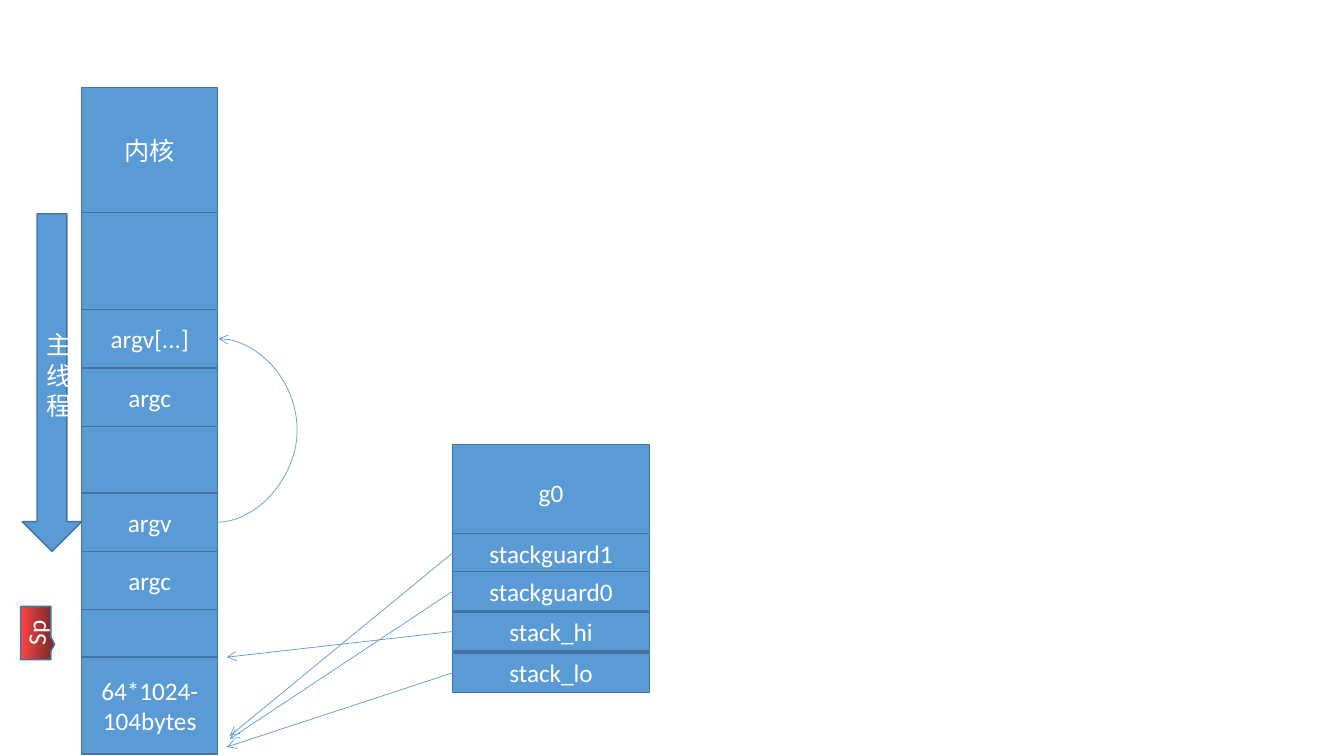
from lxml.etree import SubElement
from pptx import Presentation
from pptx.dml.color import RGBColor
from pptx.enum.shapes import MSO_CONNECTOR, MSO_SHAPE
from pptx.enum.text import MSO_ANCHOR, PP_ALIGN
from pptx.oxml.ns import qn
from pptx.util import Inches, Pt

BLUE = RGBColor(0x5B, 0x9B, 0xD5)
BORDER = RGBColor(0x43, 0x73, 0x9E)
WHITE = RGBColor(0xFF, 0xFF, 0xFF)
RED = RGBColor(0xFE, 0x44, 0x44)
DARK_RED = RGBColor(0x83, 0x2B, 0x2B)

deck = Presentation()
deck.slide_width = Inches(13.33)
deck.slide_height = Inches(7.5)
page = deck.slides.add_slide(deck.slide_layouts[6])


def add_box(text, left, top, width, height, kind=MSO_SHAPE.RECTANGLE, fill=BLUE, size=18):
    box = page.shapes.add_shape(kind, Inches(left), Inches(top), Inches(width), Inches(height))
    box.shadow.inherit = False
    box.fill.solid()
    box.fill.fore_color.rgb = fill
    box.line.color.rgb = BORDER
    box.line.width = Pt(1)
    if text:
        frame = box.text_frame
        frame.word_wrap = True
        frame.vertical_anchor = MSO_ANCHOR.MIDDLE
        para = frame.paragraphs[0]
        para.alignment = PP_ALIGN.CENTER
        span = para.add_run()
        span.text = text
        span.font.name = "Calibri"
        span.font.size = Pt(size)
        span.font.color.rgb = WHITE
    return box


def add_arrow(kind, begin, end):
    arrow = page.shapes.add_connector(kind, *[Inches(value) for value in begin + end])
    arrow.line.color.rgb = BLUE
    arrow.line.width = Pt(0.5)
    SubElement(arrow.line._get_or_add_ln(), qn("a:tailEnd"), type="arrow")
    SubElement(arrow._element.spPr, qn("a:effectLst"))
    return arrow


stack_cells = [
    ("内核", 1.24), ("", 0.96), ("argv[...]", 0.58), ("argc", 0.58), ("", 0.66),
    ("argv", 0.58), ("argc", 0.58), ("", 0.47), ("64*1024-104bytes", 0.96),
]
top = 0.87
for text, height in stack_cells:
    add_box(text, 0.81, top, 1.35, height)
    top += height

argv_curve = add_arrow(MSO_CONNECTOR.CURVE, (2.16, 5.18), (2.17, 3.36))
guides = argv_curve._element.spPr.find(qn("a:prstGeom")).get_or_add_avLst()
SubElement(guides, qn("a:gd"), name="adj1", fmla="val 8000000")

stack_pointer = add_box("Sp", 0.09, 6.13, 0.53, 0.3, kind=MSO_SHAPE.RECTANGULAR_CALLOUT)
stack_pointer.rotation = 270
stack_pointer.fill.gradient()
stack_pointer.fill.gradient_angle = 270
for stop, color in zip(stack_pointer.fill.gradient_stops, (RED, DARK_RED)):
    stop.color.rgb = color

add_box("g0", 4.49, 4.41, 1.95, 0.96)
g0_fields = [
    ("stackguard1", 5.29, (2.28, 7.3)),
    ("stackguard0", 5.67, (2.28, 7.33)),
    ("stack_hi", 6.07, (2.25, 6.52)),
    ("stack_lo", 6.48, (2.25, 7.41)),
]
for text, top, target in g0_fields:
    field = add_box(text, 4.49, top, 1.95, 0.39)
    pointer = add_arrow(MSO_CONNECTOR.STRAIGHT, (4.49, top + 0.195), target)
    pointer.begin_connect(field, 1)

add_box("主线程", 0.22, 2.12, 0.59, 3.35, kind=MSO_SHAPE.DOWN_ARROW)

deck.save("out.pptx")
